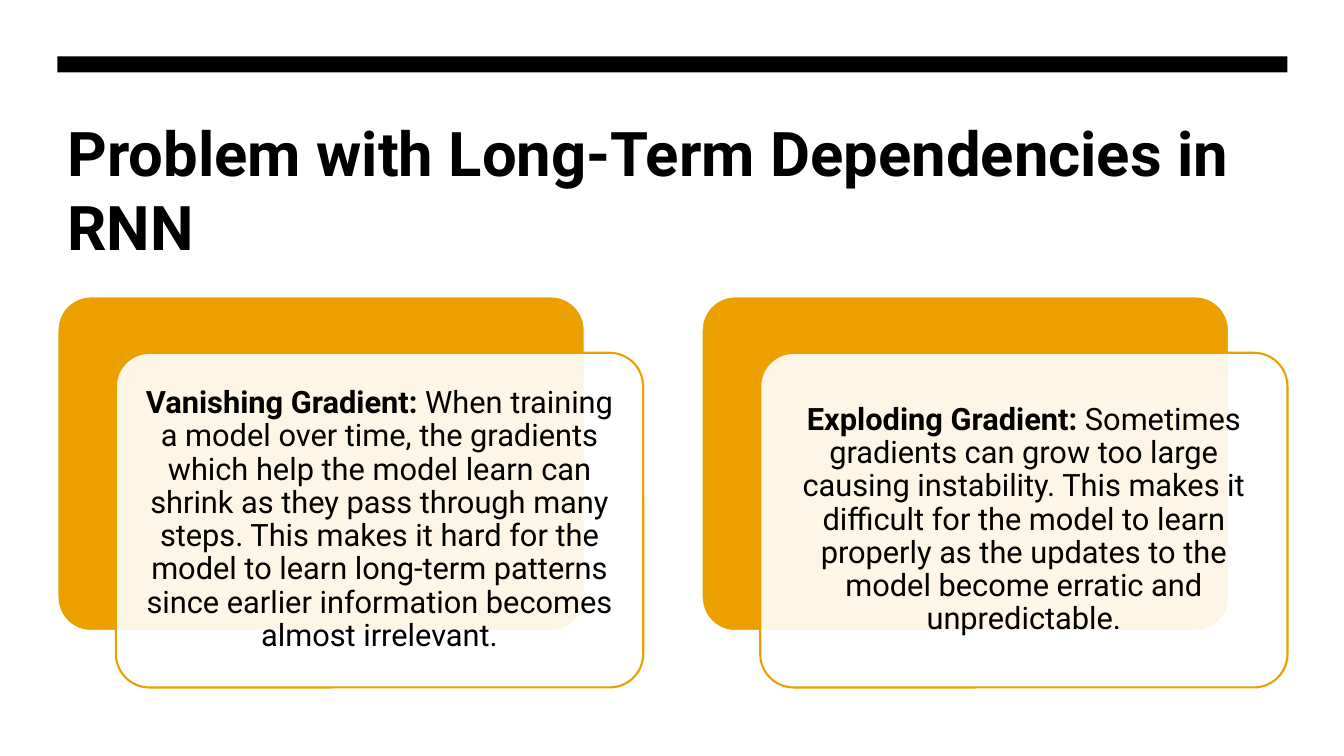
from dataclasses import dataclass

from lxml import etree
from pptx import Presentation
from pptx.dml.color import RGBColor
from pptx.enum.shapes import MSO_SHAPE
from pptx.enum.text import MSO_ANCHOR, MSO_AUTO_SIZE, PP_ALIGN
from pptx.oxml.ns import qn
from pptx.util import Inches, Pt

RECTANGLE = MSO_SHAPE.RECTANGLE
ROUNDED = MSO_SHAPE.ROUNDED_RECTANGLE
MIDDLE = MSO_ANCHOR.MIDDLE
LEFT, CENTER = PP_ALIGN.LEFT, PP_ALIGN.CENTER
FIXED_SIZE = MSO_AUTO_SIZE.NONE

COLORS = {"black": "000000", "white": "FFFFFF", "amber": "EBA000"}
FONT = "Roboto"

MARGIN, CONTENT_WIDTH = 0.57, 12.2
CARD_WIDTH, CARD_HEIGHT = 5.23, 3.32
CARD_TOP, CARD_PITCH = 2.94, 6.39
FRONT_SHIFT_X, FRONT_SHIFT_Y = 0.58, 0.56
CARD_INSET = 0.09


@dataclass
class Card:
    heading: str
    body: str


CARDS = [
    Card("Vanishing Gradient: ",
         "When training a model over time, the gradients which help the model "
         "learn can shrink as they pass through many steps. This makes it hard "
         "for the model to learn long-term patterns since earlier information "
         "becomes almost irrelevant."),
    Card("Exploding Gradient: ",
         "Sometimes gradients can grow too large causing instability. This makes "
         "it difficult for the model to learn properly as the updates to the "
         "model become erratic and unpredictable."),
]


def color(name: str) -> RGBColor:
    return RGBColor.from_string(COLORS[name])


def format_run(run, size: float, bold: bool) -> None:
    run.font.name = FONT
    run.font.size = Pt(size)
    run.font.bold = bold
    run.font.color.rgb = color("black")


def add_panel(slide, kind, left: float, top: float, width: float, height: float,
              fill: str, line: str | None = None):
    shape = slide.shapes.add_shape(kind, Inches(left), Inches(top),
                                   Inches(width), Inches(height))
    shape.shadow.inherit = False
    shape.fill.solid()
    shape.fill.fore_color.rgb = color(fill)
    if line is None:
        shape.line.fill.background()
    else:
        shape.line.color.rgb = color(line)
        shape.line.width = Pt(1.5)
    if kind == ROUNDED:
        shape.adjustments[0] = 0.1
    return shape


def set_opacity(shape, percent: int) -> None:
    fill_color = shape.fill._xPr.find(qn("a:solidFill"))[0]
    etree.SubElement(fill_color, qn("a:alpha")).set("val", str(percent * 1000))


def add_card(slide, card: Card, left: float) -> None:
    add_panel(slide, ROUNDED, left, CARD_TOP, CARD_WIDTH, CARD_HEIGHT,
              "amber", "white")
    front = add_panel(slide, ROUNDED, left + FRONT_SHIFT_X, CARD_TOP + FRONT_SHIFT_Y,
                      CARD_WIDTH, CARD_HEIGHT, "white", "amber")
    set_opacity(front, 90)

    text_frame = front.text_frame
    text_frame.word_wrap = True
    text_frame.vertical_anchor = MIDDLE
    text_frame.margin_left = text_frame.margin_right = Inches(CARD_INSET)
    text_frame.margin_top = text_frame.margin_bottom = Inches(CARD_INSET)
    paragraph = text_frame.paragraphs[0]
    paragraph.alignment = CENTER
    paragraph.line_spacing = 0.9
    for text, bold in ((card.heading, True), (card.body, False)):
        run = paragraph.add_run()
        run.text = text
        format_run(run, 22, bold)


def add_title(slide, text: str) -> None:
    title = slide.shapes.title
    title.left, title.top = Inches(MARGIN), Inches(1.07)
    title.width, title.height = Inches(CONTENT_WIDTH), Inches(1.6)
    text_frame = title.text_frame
    text_frame.text = text
    text_frame.word_wrap = True
    text_frame.auto_size = FIXED_SIZE
    text_frame.vertical_anchor = MIDDLE
    paragraph = text_frame.paragraphs[0]
    paragraph.alignment = LEFT
    paragraph.line_spacing = 1.0
    format_run(paragraph.runs[0], 44, True)


def main() -> None:
    presentation = Presentation()
    presentation.slide_width = Inches(13.33)
    presentation.slide_height = Inches(7.5)
    slide = presentation.slides.add_slide(presentation.slide_layouts[5])

    # Top bar and title
    add_panel(slide, RECTANGLE, MARGIN, 0.56, CONTENT_WIDTH, 0.16, "black")
    add_title(slide, "Problem with Long-Term Dependencies in RNN")

    # Two layered cards
    for index, card in enumerate(CARDS):
        add_card(slide, card, MARGIN + index * CARD_PITCH)

    presentation.save("out.pptx")


if __name__ == "__main__":
    main()
